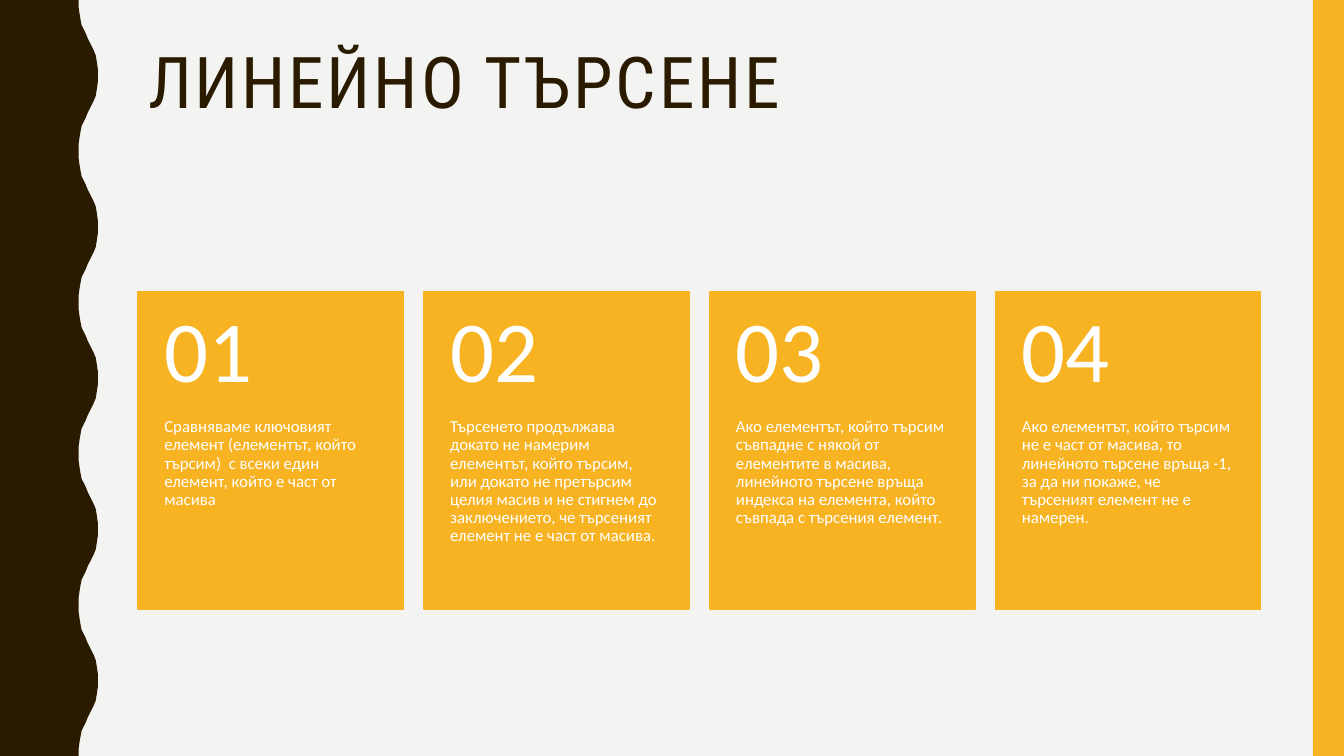
from dataclasses import dataclass

from pptx import Presentation
from pptx.dml.color import RGBColor
from pptx.enum.shapes import MSO_SHAPE as Preset
from pptx.enum.text import MSO_ANCHOR as Anchor
from pptx.util import Inches, Pt

DARK = RGBColor(0x2A, 0x1A, 0x00)
YELLOW = RGBColor(0xF8, 0xB3, 0x23)
WHITE = RGBColor(0xFF, 0xFF, 0xFF)
PAPER = RGBColor(0xF3, 0xF3, 0xF2)

PAGE_WIDTH, PAGE_HEIGHT = 13.33, 7.5
CARD_LEFT, CARD_TOP, CARD_WIDTH, CARD_HEIGHT = 1.37, 2.89, 2.63, 3.15
CARD_STEP = 2.835
NUMBER_HEIGHT = 1.26

WAVE_COUNT, WAVE_PERIOD = 5, 1.5
HALF_WAVE = [
    (0.78, 0), (0.78, 0.07), (0.79, 0.14), (0.8, 0.2), (0.81, 0.25),
    (0.83, 0.29), (0.85, 0.33), (0.87, 0.38), (0.89, 0.42), (0.91, 0.46),
    (0.93, 0.5), (0.95, 0.55), (0.96, 0.61), (0.97, 0.68), (0.97, 0.75),
]


@dataclass(frozen=True)
class Step:
    number: str
    text: str


STEPS = [
    Step("01", "Сравняваме ключовият елемент (елементът, който търсим)  с всеки "
               "един елемент, който е част от масива"),
    Step("02", "Търсенето продължава докато не намерим елементът, който търсим, "
               "или докато не претърсим целия масив и не стигнем до заключението, "
               "че търсеният елемент не е част от масива."),
    Step("03", "Ако елементът, който търсим съвпадне с някой от елементите в масива, "
               "линейното търсене връща индекса на елемента, който съвпада с "
               "търсения елемент."),
    Step("04", "Ако елементът, който търсим не е част от масива, то линейното търсене "
               "връща -1, за да ни покаже, че търсеният елемент не е намерен."),
]


def add_text(shapes, text: str, left: float, top: float, width: float, height: float, *,
             size: float, font: str = "Calibri", color: RGBColor = WHITE,
             anchor: Anchor = Anchor.TOP, spacing: int = 0,
             insets: tuple = (0.26, 0, 0.26, 0.36)) -> None:
    """Add a text box; spacing is in hundredths of a point, insets run from left clockwise."""
    box = shapes.add_textbox(Inches(left), Inches(top), Inches(width), Inches(height))
    frame = box.text_frame
    frame.word_wrap = True
    frame.vertical_anchor = anchor
    (frame.margin_left, frame.margin_top,
     frame.margin_right, frame.margin_bottom) = map(Inches, insets)
    para = frame.paragraphs[0]
    para.line_spacing = 0.9
    span = para.add_run()
    span.text = text
    span.font.size = Pt(size)
    span.font.name = font
    span.font.color.rgb = color
    if spacing:
        span.font._element.set("spc", str(spacing))


def add_panel(shapes, left: float, top: float, width: float, height: float,
              outlined: bool = False) -> None:
    panel = shapes.add_shape(Preset.RECTANGLE, Inches(left), Inches(top),
                             Inches(width), Inches(height))
    panel.shadow.inherit = False
    panel.fill.solid()
    panel.fill.fore_color.rgb = YELLOW
    if outlined:
        panel.line.color.rgb = YELLOW
        panel.line.width = Pt(1)
    else:
        panel.line.fill.background()


def add_wavy_edge(shapes) -> None:
    mirrored = [(x, WAVE_PERIOD - y) for x, y in reversed(HALF_WAVE[:-1])]
    wave = HALF_WAVE + mirrored[:-1]
    points = [(x, y + index * WAVE_PERIOD) for index in range(WAVE_COUNT) for x, y in wave]
    points += [(HALF_WAVE[0][0], PAGE_HEIGHT), (0, PAGE_HEIGHT)]
    builder = shapes.build_freeform(0, 0)
    builder.add_line_segments([(Inches(x), Inches(y)) for x, y in points], close=True)
    edge = builder.convert_to_shape()
    edge.shadow.inherit = False
    edge.fill.solid()
    edge.fill.fore_color.rgb = DARK
    edge.line.fill.background()


def add_card(shapes, step: Step, left: float) -> None:
    add_panel(shapes, left, CARD_TOP, CARD_WIDTH, CARD_HEIGHT, outlined=True)
    add_text(shapes, step.text, left, CARD_TOP + NUMBER_HEIGHT, CARD_WIDTH,
             CARD_HEIGHT - NUMBER_HEIGHT, size=12)
    add_text(shapes, step.number, left, CARD_TOP, CARD_WIDTH, NUMBER_HEIGHT, size=62,
             anchor=Anchor.MIDDLE, insets=(0.26, 0.18, 0.26, 0.18))


def main() -> None:
    deck = Presentation()
    deck.slide_width, deck.slide_height = Inches(PAGE_WIDTH), Inches(PAGE_HEIGHT)
    page = deck.slides.add_slide(deck.slide_layouts[6])
    page.background.fill.solid()
    page.background.fill.fore_color.rgb = PAPER

    add_wavy_edge(page.shapes)
    add_panel(page.shapes, 13.02, 0, 0.31, PAGE_HEIGHT)
    add_text(page.shapes, "ЛИНЕЙНО ТЪРСЕНЕ", 1.37, 0.42, 11.13, 1.63, size=51,
             font="Roboto Condensed", color=DARK, spacing=200,
             insets=(0.1, 0.05, 0.1, 0.05))
    cards = page.shapes.add_group_shape()
    for index, step in enumerate(STEPS):
        add_card(cards.shapes, step, CARD_LEFT + index * CARD_STEP)

    deck.save("out.pptx")


if __name__ == "__main__":
    main()
